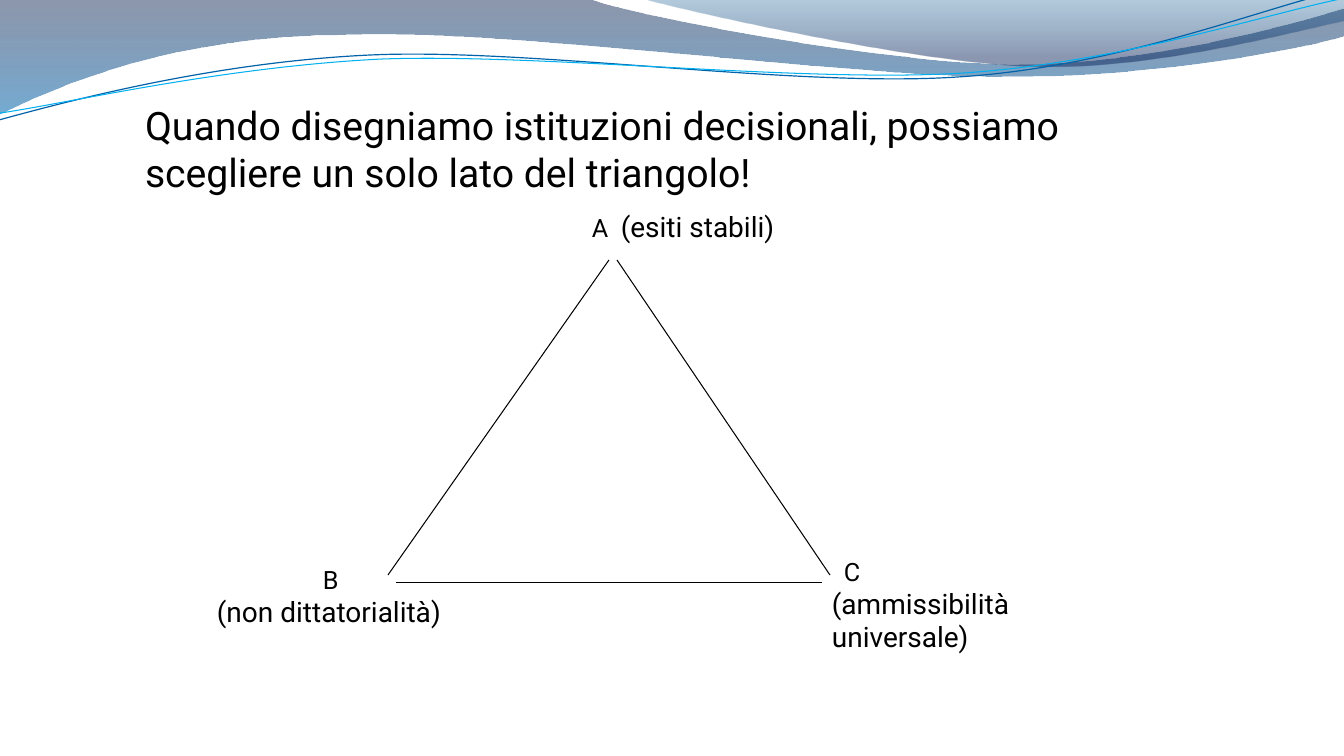
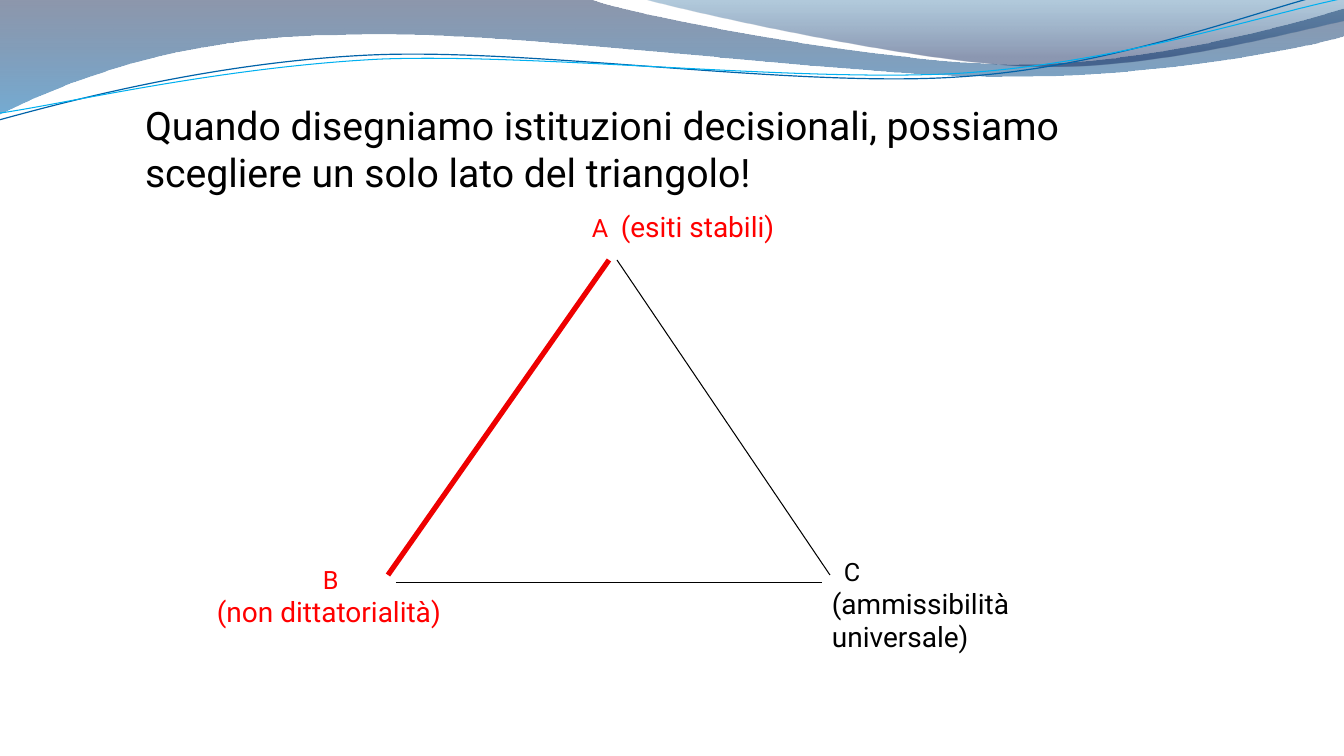
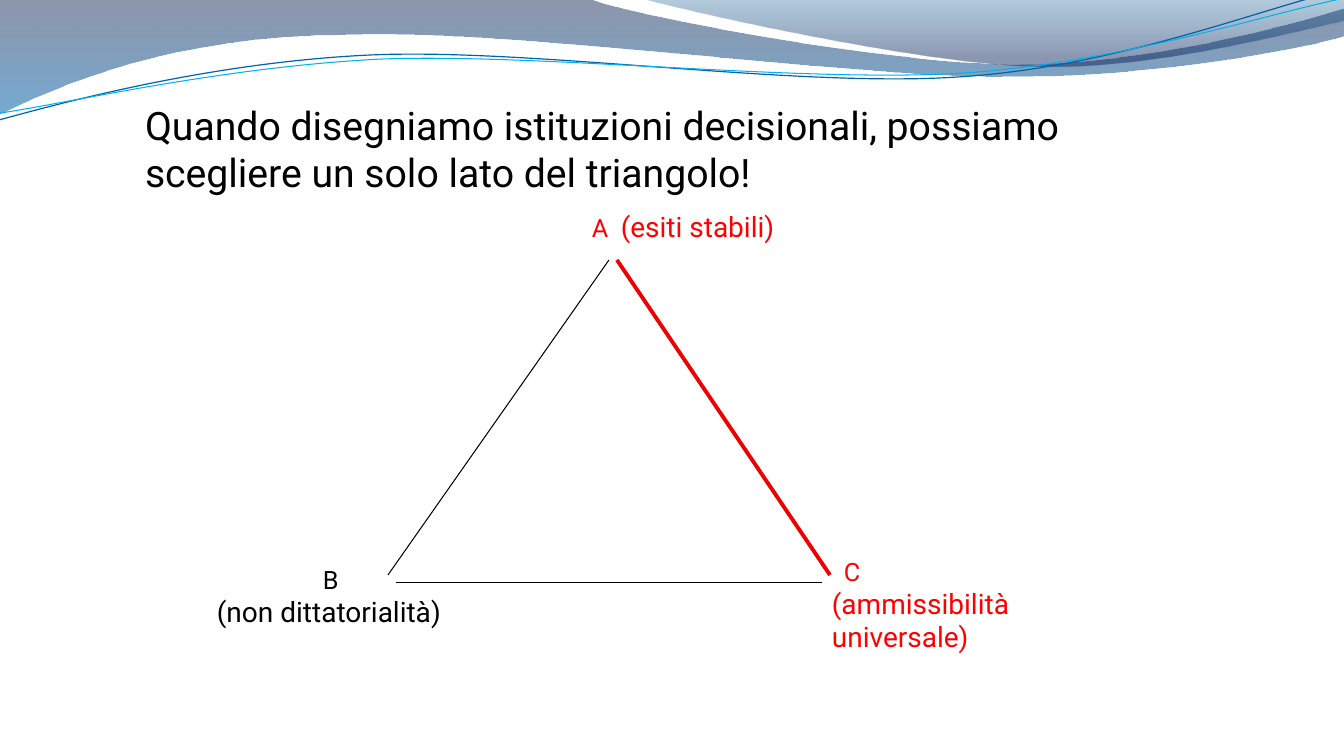
from math import cos, radians, sin

from lxml.etree import SubElement
from pptx import Presentation
from pptx.dml.color import RGBColor
from pptx.enum.shapes import MSO_CONNECTOR as CONN
from pptx.enum.text import MSO_ANCHOR as ANCHOR, MSO_AUTO_SIZE as AUTO, PP_ALIGN as ALIGN
from pptx.oxml.ns import qn
from pptx.util import Pt

PX = 914400 / 100.8
FONT = "Roboto"
COLORS = {
    "text": "000000", "accent_text": "FF0000", "accent_line": "EE0000",
    "navy": "001847", "blue": "0066AE", "steel": "00538E", "indigo": "001C55",
    "dark_wave": "0063A9", "light_wave": "00B0F0",
}

TITLE = "Quando disegniamo istituzioni decisionali, possiamo scegliere un solo lato del triangolo!"
TITLE_BOX = (145, 96, 1079, 99)

CORNERS = {
    "A": {"box": (570, 205, 607, 44),
          "lines": [(12, [("A ", 18, 220), ("(esiti stabili)", 20, 0)])]},
    "B": {"box": (207, 559, 314, 75),
          "lines": [(106, [("B", 18, 0)]), (0, [("(non dittatorialità)", 20, 0)])]},
    "C": {"box": (822, 551, 252, 109),
          "lines": [(12, [("C", 18, 0)]), (0, [("(ammissibilità universale)", 20, 0)])]},
}
SIDES = {
    "AB": (609, 260, 388, 575),
    "BC": (396, 583, 822, 583),
    "AC": (617, 260, 830, 575),
}
SLIDES = [("", 0.75), ("AB", 3.75), ("AC", 2.75)]

BANDS = [
    ([(0, 0), (592, 0),
      ((639, 17), (892, 64), (1019, 64)), ((1147, 64), (1288, 26), (1344, 9)),
      (1346, 36),
      ((1321, 44), (1169, 77), (1002, 76)), ((836, 76), (513, 29), (346, 35)),
      ((173, 36), (61, 84), (-1, 114)), (0, 0)],
     [(0, "navy", 45), (1, "blue", 55)]),
    ([(644, 0),
      ((684, 11), (916, 63), (1033, 66)), ((1149, 70), (1292, 32), (1344, 21)),
      (1344, 0), (644, 0)],
     [(0, "steel", 30), (0.8, "indigo", 45)]),
]
WAVES = [
    ([(-1, 120), ((65, 102), (213, 62), (372, 55)),
      ((531, 48), (796, 88), (958, 77)), ((1119, 67), (1262, 8), (1342, -10))],
     "dark_wave", 0.85),
    ([(0, 113), ((64, 104), (220, 67), (381, 59)),
      ((541, 53), (802, 83), (963, 73)), ((1124, 62), (1265, 14), (1345, -2))],
     "light_wave", 0.75),
]
WAVE_TILT = -2.7
WAVE_CENTER = (671, 58)


def px(*values):
    return [round(v * PX) for v in values]


def rgb(name):
    return RGBColor.from_string(COLORS[name])


def turn(point, degrees):
    cx, cy = WAVE_CENTER
    dx, dy = point[0] - cx, point[1] - cy
    c, s = cos(radians(degrees)), sin(radians(degrees))
    return cx + dx * c - dy * s, cy + dx * s + dy * c


def add_outline(slide, outline, close, tilt=0):
    parts = [part if len(part) == 3 else (part,) for part in outline]
    start, *rest = [px(*(turn(pt, -tilt) if tilt else pt)) for part in parts for pt in part]
    builder = slide.shapes.build_freeform(*start)
    builder.add_line_segments(rest, close=close)
    sp = builder.convert_to_shape()
    sp.rotation = tilt
    sp.shadow.inherit = False
    segments = iter(list(sp.element.iter(qn("a:lnTo"))))
    for part in parts[1:]:
        first, *others = [next(segments) for _ in part]
        if others:
            first.tag = qn("a:cubicBezTo")
            for segment in others:
                first.append(segment[0])
                segment.getparent().remove(segment)
    return sp


def add_band(slide, outline, stops):
    sp = add_outline(slide, outline, True)
    sp.line.fill.background()
    sp.fill.gradient()
    sp.fill.gradient_angle = 270
    for stop, (position, color, _) in zip(sp.fill.gradient_stops, stops):
        stop.position = position
        stop.color.rgb = rgb(color)
    for clr, (_, _, alpha) in zip(sp.element.iter(qn("a:srgbClr")), stops):
        SubElement(clr, qn("a:alpha"), val=str(alpha * 1000))
    return sp


def add_wave(slide, outline, color, width):
    sp = add_outline(slide, outline, False, WAVE_TILT)
    sp.fill.background()
    sp.line.color.rgb = rgb(color)
    sp.line.width = Pt(width)
    return sp


def decorate_layout(layout, slide):
    decor = [add_band(slide, *band) for band in BANDS]
    decor += [add_wave(slide, *wave) for wave in WAVES]
    for i, sp in enumerate(decor):
        sp.element.nvSpPr.cNvPr.set("id", str(21 + i))
        layout.shapes.element.insert(2 + i, sp.element)


def add_run(p, text, size, color, spacing=0):
    r = p.add_run()
    r.text = text
    r.font.name = FONT
    r.font.size = Pt(size)
    r.font.color.rgb = rgb(color)
    if spacing:
        r._r.get_or_add_rPr().set("spc", str(spacing))


def set_title(slide):
    sp = slide.shapes.title
    sp.left, sp.top, sp.width, sp.height = px(*TITLE_BOX)
    tf = sp.text_frame
    tf.auto_size = AUTO.NONE
    tf.word_wrap = True
    tf.vertical_anchor = ANCHOR.BOTTOM
    tf.margin_left, tf.margin_top, tf.margin_right, tf.margin_bottom = px(0, 5, 0, 0)
    p = tf.paragraphs[0]
    p.alignment = ALIGN.LEFT
    add_run(p, TITLE, 28, "text")


def add_side(slide, ends, color, width):
    line = slide.shapes.add_connector(CONN.STRAIGHT, *px(*ends))
    line.line.color.rgb = rgb(color)
    line.line.width = Pt(width)
    SubElement(line.element.spPr, qn("a:effectLst"))


def add_corner(slide, corner, color):
    tf = slide.shapes.add_textbox(*px(*corner["box"])).text_frame
    tf.word_wrap = True
    tf.auto_size = AUTO.SHAPE_TO_FIT_TEXT
    for i, (indent, runs) in enumerate(corner["lines"]):
        p = tf.add_paragraph() if i else tf.paragraphs[0]
        if indent:
            pPr = p._p.get_or_add_pPr()
            pPr.set("marL", "0")
            pPr.set("indent", str(px(indent)[0]))
        for text, size, spacing in runs:
            add_run(p, text, size, color, spacing)


def main():
    prs = Presentation()
    prs.slide_width, prs.slide_height = px(1344, 756)
    layout = prs.slide_layouts[5]
    for i, (chosen, width) in enumerate(SLIDES):
        slide = prs.slides.add_slide(layout)
        if i == 0:
            decorate_layout(layout, slide)
        set_title(slide)
        for side, ends in SIDES.items():
            if side == chosen:
                add_side(slide, ends, "accent_line", width)
            else:
                add_side(slide, ends, "text", 0.75)
        for name, corner in CORNERS.items():
            add_corner(slide, corner, "accent_text" if name in chosen else "text")
    prs.save("out.pptx")


if __name__ == "__main__":
    main()
